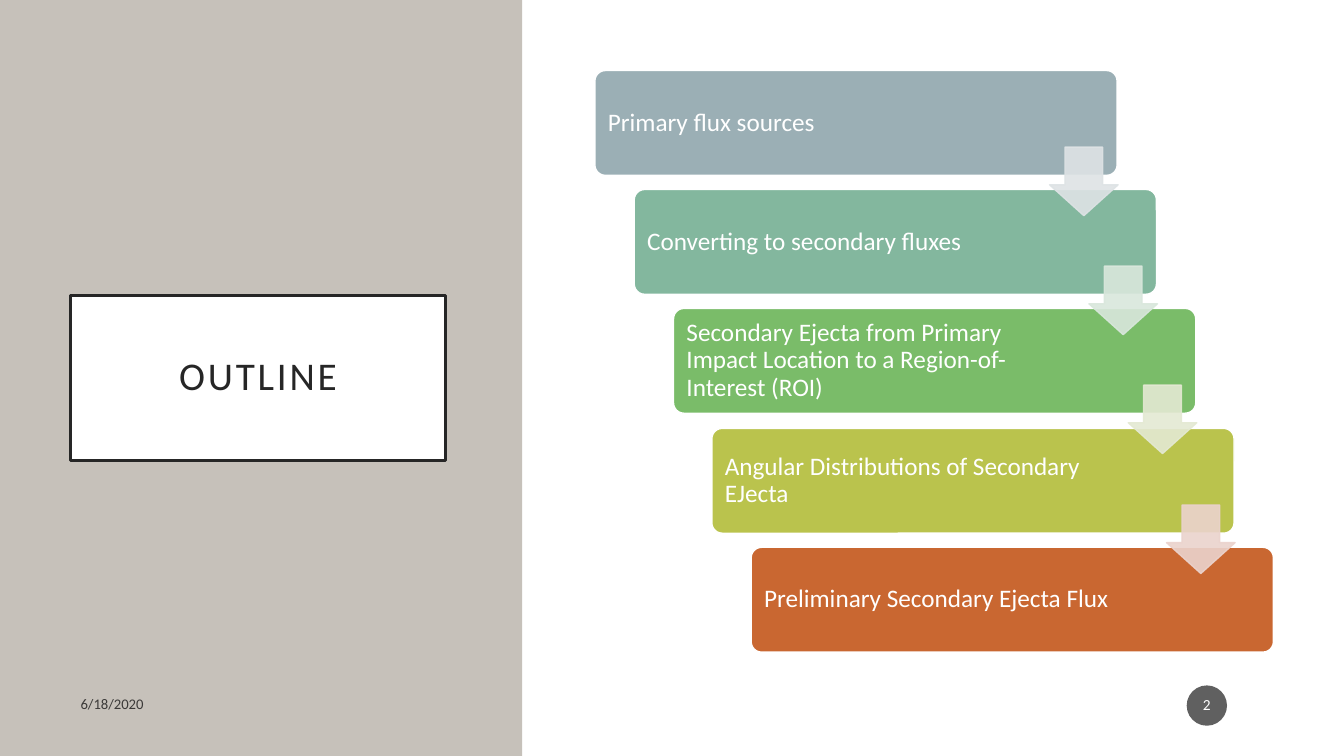
"""Build an outline slide with a title panel and a staircase of five steps."""
from typing import NamedTuple

import pptx
import pptx.dml.color
import pptx.dml.fill
import pptx.enum.shapes
import pptx.enum.text
import pptx.oxml
import pptx.oxml.ns
import pptx.shapes.autoshape
import pptx.slide
import pptx.util

PX = 9144
FONT = "Calibri"
WHITE = "FFFFFF"
DARK = "262626"
KIND = pptx.enum.shapes.MSO_SHAPE
ALIGN = pptx.enum.text.PP_ALIGN


class Box(NamedTuple):
    left: int
    top: int
    width: int
    height: int


class Step(NamedTuple):
    text: str
    color: str
    arrow: str | None


STEPS = [
    Step("Primary flux sources", "9BAFB5", "DEE3E5"),
    Step("Converting to secondary fluxes", "83B79E", "D9E7DC"),
    Step("Secondary Ejecta from Primary Impact Location to a Region-of-Interest (ROI)",
         "7ABC69", "E4E9D3"),
    Step("Angular Distributions of Secondary EJecta", "BAC34D", "EBD3CD"),
    Step("Preliminary Secondary Ejecta Flux", "C96731", None),
]
FIRST = Box(590, 70, 518, 104)
ARROW = Box(1041, 146, 68, 68)
RIGHT, DOWN = 38.75, 118.25


def scale(box: Box) -> list[pptx.util.Emu]:
    return [pptx.util.Emu(n * PX) for n in box]


def shift(box: Box, index: int) -> Box:
    return box._replace(left=box.left + round(index * RIGHT),
                        top=box.top + round(index * DOWN))


def paint(fill: pptx.dml.fill.FillFormat, color: str, alpha: int = 100) -> None:
    fill.solid()
    fill.fore_color.rgb = pptx.dml.color.RGBColor.from_string(color)
    if alpha < 100:
        tone = fill._xPr.find(pptx.oxml.ns.qn("a:solidFill"))[0]
        node = pptx.oxml.parse_xml(
            f'<a:alpha {pptx.oxml.ns.nsdecls("a")} val="{alpha * 1000}"/>')
        tone.append(node)


def edge(shape: pptx.shapes.autoshape.Shape, color: str, width: float,
         alpha: int = 100) -> None:
    paint(shape.line.fill, color, alpha)
    shape.line.width = pptx.util.Pt(width)


def draw(slide: pptx.slide.Slide, kind: KIND, box: Box, color: str,
         alpha: int = 100) -> pptx.shapes.autoshape.Shape:
    shape = slide.shapes.add_shape(kind, *scale(box))
    shape.shadow.inherit = False
    paint(shape.fill, color, alpha)
    shape.line.fill.background()
    return shape


def write(shape: pptx.shapes.autoshape.Shape, text: str, size: float, color: str,
          align: ALIGN, pad: Box, alpha: int = 100) -> None:
    frame = shape.text_frame
    frame.text = text
    frame.word_wrap = True
    frame.auto_size = pptx.enum.text.MSO_AUTO_SIZE.NONE
    frame.vertical_anchor = pptx.enum.text.MSO_ANCHOR.MIDDLE
    (frame.margin_left, frame.margin_top,
     frame.margin_right, frame.margin_bottom) = scale(pad)
    line = frame.paragraphs[0]
    line.alignment = align
    line.line_spacing = 0.9
    font = line.runs[0].font
    font.name = FONT
    font.size = pptx.util.Pt(size)
    paint(font.fill, color, alpha)


def add_title(slide: pptx.slide.Slide) -> None:
    title = slide.shapes.title
    title.left, title.top, title.width, title.height = scale(Box(70, 293, 372, 164))
    paint(title.fill, WHITE)
    edge(title, DARK, 2.5)
    write(title, "OUTLINE", 28, DARK, ALIGN.CENTER, Box(20, 20, 20, 20))
    run = title.text_frame.paragraphs[0].runs[0]
    run.font._element.set("spc", "200")


def add_steps(slide: pptx.slide.Slide) -> None:
    for index, step in enumerate(STEPS):
        bar = draw(slide, KIND.ROUNDED_RECTANGLE, shift(FIRST, index), step.color)
        bar.adjustments[0] = 0.1
        edge(bar, WHITE, 1)
        write(bar, step.text, 18, WHITE, ALIGN.LEFT, Box(10, 10, 116, 10))
    for index, step in enumerate(STEPS):
        if step.arrow:
            arrow = draw(slide, KIND.DOWN_ARROW, shift(ARROW, index), step.arrow, 90)
            arrow.adjustments[0] = 0.55
            arrow.adjustments[1] = 0.45
            edge(arrow, step.arrow, 1, 90)


def main() -> None:
    deck = pptx.Presentation()
    deck.slide_width, deck.slide_height = scale(Box(0, 0, 1333, 750))[2:]
    slide = deck.slides.add_slide(deck.slide_layouts[5])
    panel = draw(slide, KIND.RECTANGLE, Box(0, 0, 518, 750), "C6C1BA")
    slide.shapes.title.element.addprevious(panel.element)
    add_title(slide)
    date = slide.shapes.add_textbox(*scale(Box(70, 682, 301, 35)))
    write(date, "6/18/2020", 10.5, "000001", ALIGN.LEFT, Box(10, 5, 10, 5), 70)
    draw(slide, KIND.RECTANGLE, Box(520, 0, 813, 750), WHITE)
    badge = draw(slide, KIND.OVAL, Box(1177, 680, 40, 40), "1D1D1D", 70)
    write(badge, "2", 11, WHITE, ALIGN.CENTER, Box(2, 5, 2, 5))
    add_steps(slide)
    deck.save("out.pptx")


if __name__ == "__main__":
    main()
